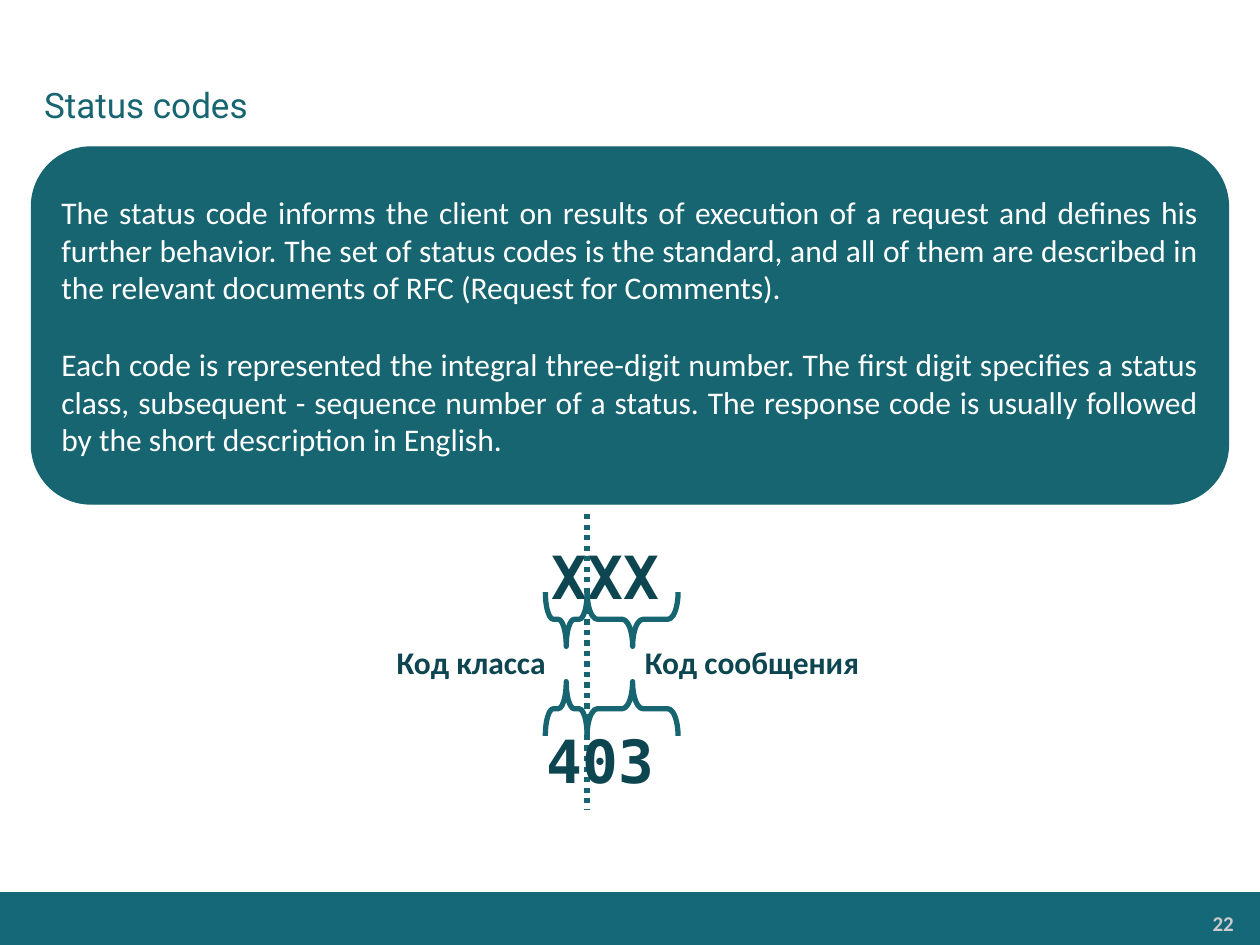
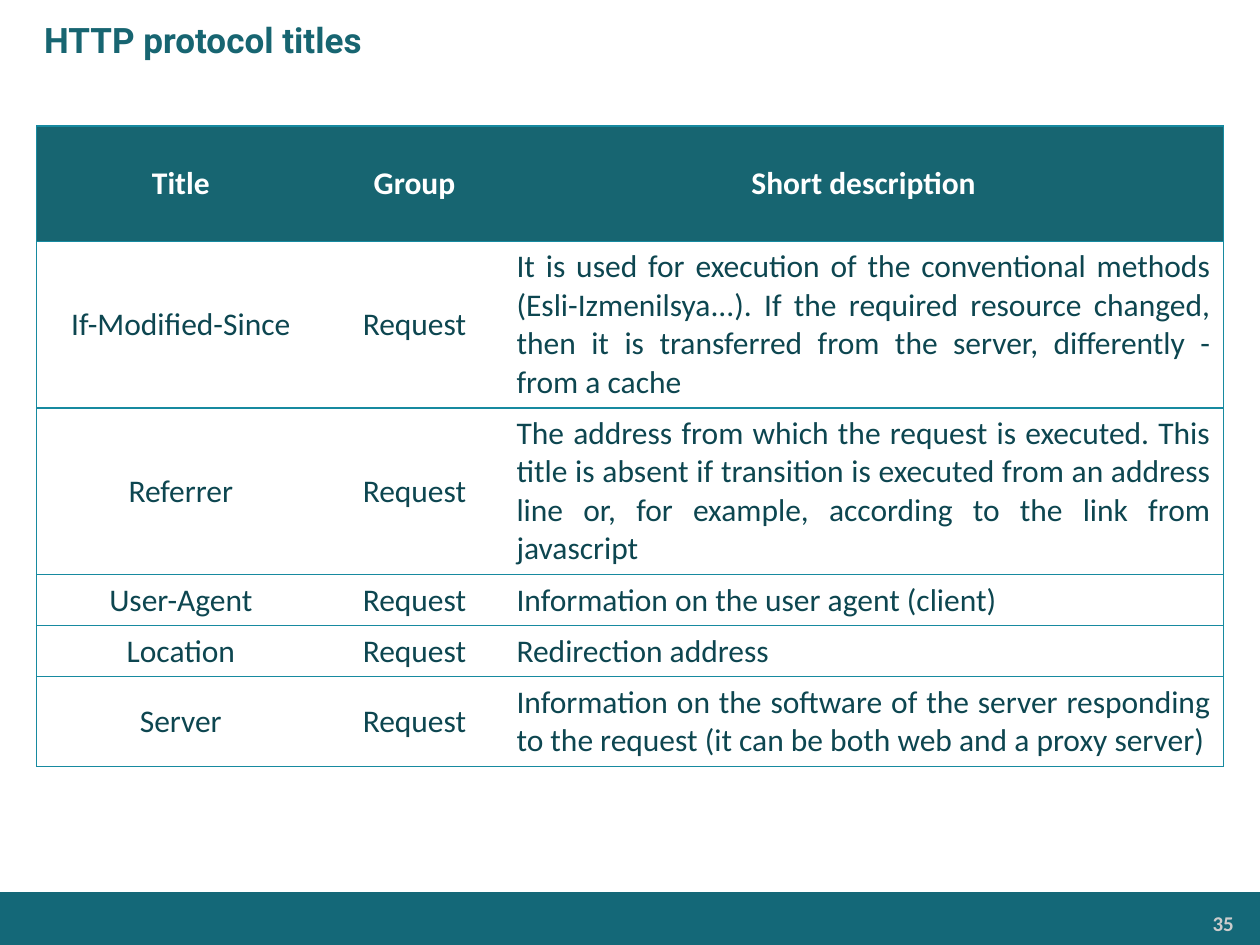
from lxml import etree
from pptx import Presentation
from pptx.dml.color import RGBColor
from pptx.enum.dml import MSO_LINE
from pptx.enum.shapes import MSO_CONNECTOR, MSO_SHAPE
from pptx.enum.text import MSO_ANCHOR, MSO_AUTO_SIZE, PP_ALIGN
from pptx.oxml.ns import qn
from pptx.util import Pt

LEFT, CENTER, RIGHT, JUSTIFY = PP_ALIGN.LEFT, PP_ALIGN.CENTER, PP_ALIGN.RIGHT, PP_ALIGN.JUSTIFY
TOP, MIDDLE = MSO_ANCHOR.TOP, MSO_ANCHOR.MIDDLE
NO_AUTOFIT = MSO_AUTO_SIZE.NONE
RECTANGLE, ROUNDED = MSO_SHAPE.RECTANGLE, MSO_SHAPE.ROUNDED_RECTANGLE
BRACE, STRAIGHT, DOTTED = MSO_SHAPE.RIGHT_BRACE, MSO_CONNECTOR.STRAIGHT, MSO_LINE.ROUND_DOT

TEAL, BAND, INK, BORDER = "176571", "146878", "0D4650", "178AA0"
WHITE, GREY = "FFFFFF", "CCCCCC"
BODY_FONT, TITLE_FONT, CODE_FONT = "Calibri", "Roboto", "DejaVu Sans Mono"
TITLE_ONLY = 5

STATUS_TEXT = [
    "The status code informs the client on results of execution of a request and defines his "
    "further behavior. The set of status codes is the standard, and all of them are described "
    "in the relevant documents of RFC (Request for Comments).",
    "Each code is represented the integral three-digit number. The first digit specifies a "
    "status class, subsequent - sequence number of a status. The response code is usually "
    "followed by the short description in English.",
]
HEADER = ("Title", "Group", "Short description")
HEADERS_TABLE = [
    ("If-Modified-Since", 4,
     "It is used for execution of the conventional methods (Esli-Izmenilsya...). If the "
     "required resource changed, then it is transferred from the server, differently - from "
     "a cache"),
    ("Referrer", 4,
     "The address from which the request is executed. This title is absent if transition is "
     "executed from an address line or, for example, according to the link from javascript"),
    ("User-Agent", 1, "Information on the user agent (client)"),
    ("Location", 1, "Redirection address"),
    ("Server", 2,
     "Information on the software of the server responding to the request (it can be both web "
     "and a proxy server)"),
]


def color(value):
    """Turn a hex string into a colour."""
    return RGBColor.from_string(value)


def write(frame, *texts, font=BODY_FONT, size=18, ink=INK, bold=False, align=LEFT,
          anchor=TOP, gap=0, wrap=True):
    """Fill a text frame with one formatted paragraph for each text."""
    frame.word_wrap = wrap
    frame.vertical_anchor = anchor
    for index, text in enumerate(texts):
        paragraph = frame.add_paragraph() if index else frame.paragraphs[0]
        paragraph.text = text
        paragraph.alignment = align
        paragraph.space_before = Pt(gap if index else 0)
        paragraph.font.name = font
        paragraph.font.size = Pt(size)
        paragraph.font.bold = bold
        paragraph.font.color.rgb = color(ink)


class Deck:
    """Hold the shared style and the current slide."""

    def __init__(self):
        """Start an empty presentation of 10 by 7.5 inches."""
        self.presentation = Presentation()
        self.presentation.slide_width = Pt(720)
        self.presentation.slide_height = Pt(540)
        self.slide = None

    def add_slide(self, title, number, title_top=0, bold=False):
        """Add a slide with its title, footer band and number."""
        layout = self.presentation.slide_layouts[TITLE_ONLY]
        self.slide = self.presentation.slides.add_slide(layout)
        self.shape(RECTANGLE, 0, 509.8, 720, 30.6, fill=BAND)
        page = self.text(str(number), 592.6, 517.7, 117.4, 20, size=12, ink=GREY,
                         bold=True, align=RIGHT)
        page.margin_left = page.margin_right = Pt(5)
        page.margin_top = page.margin_bottom = Pt(2.9)
        shape = self.slide.shapes.title
        shape.left, shape.top, shape.width, shape.height = Pt(0), Pt(title_top), Pt(720), Pt(45)
        frame = shape.text_frame
        frame.auto_size = NO_AUTOFIT
        frame.margin_left = Pt(25.2)
        write(frame, title, font=TITLE_FONT, size=20, ink=TEAL, bold=bold, anchor=MIDDLE)

    def shape(self, kind, left, top, width, height, fill=None, line=None, weight=0.75):
        """Add a preset shape."""
        shape = self.slide.shapes.add_shape(kind, Pt(left), Pt(top), Pt(width), Pt(height))
        shape.shadow.inherit = False
        if fill:
            shape.fill.solid()
            shape.fill.fore_color.rgb = color(fill)
        else:
            shape.fill.background()
        if line:
            shape.line.color.rgb = color(line)
            shape.line.width = Pt(weight)
        else:
            shape.line.fill.background()
        return shape

    def text(self, text, left, top, width, height, **style):
        """Add a text box and return its frame."""
        box = self.slide.shapes.add_textbox(Pt(left), Pt(top), Pt(width), Pt(height))
        write(box.text_frame, text, **style)
        return box.text_frame

    def brace(self, left, top, span, rotation):
        """Add a horizontal brace given by its visible left, top and span."""
        depth = 31
        shift = (span - depth) / 2
        shape = self.shape(BRACE, left + shift, top - shift, depth, span, line=TEAL, weight=3)
        shape.adjustments[0] = 0.19
        shape.rotation = rotation

    def dotted_line(self, x, top, bottom):
        """Add a vertical dotted line."""
        line = self.slide.shapes.add_connector(STRAIGHT, Pt(x), Pt(top), Pt(x), Pt(bottom))
        line.line.color.rgb = color(TEAL)
        line.line.width = Pt(3)
        line.line.dash_style = DOTTED
        etree.SubElement(line.element.spPr, qn("a:effectLst"))

    def cell_borders(self, cell, visible):
        """Draw the visible sides of a cell and hide the others."""
        properties = cell._tc.get_or_add_tcPr()
        for side in "LRTB":
            line = etree.SubElement(properties, qn(f"a:ln{side}"), w=str(Pt(0.75)))
            if side in visible:
                fill = etree.SubElement(line, qn("a:solidFill"))
                etree.SubElement(fill, qn("a:srgbClr"), val=BORDER)
            else:
                etree.SubElement(line, qn("a:noFill"))

    def table(self, left, top, widths, heights, rows):
        """Add a table with a filled header row and horizontal rules."""
        frame = self.slide.shapes.add_table(len(rows), len(widths), Pt(left), Pt(top),
                                            Pt(sum(widths)), Pt(sum(heights)))
        table = frame.table
        table.first_row = table.horz_banding = False
        for column, width in zip(table.columns, widths):
            column.width = Pt(width)
        last = len(widths) - 1
        for row, texts in enumerate(rows):
            table.rows[row].height = Pt(heights[row])
            header = row == 0
            for column, text in enumerate(texts):
                cell = table.cell(row, column)
                sides = "TB" + "L" * (column == 0) + "R" * (column == last)
                self.cell_borders(cell, sides)
                if header:
                    cell.fill.solid()
                    cell.fill.fore_color.rgb = color(TEAL)
                else:
                    cell.fill.background()
                write(cell.text_frame, text, ink=WHITE if header else INK, bold=header,
                      align=JUSTIFY if column == last and not header else CENTER)
                cell.vertical_anchor = MIDDLE


def status_codes(deck):
    """Build the slide on status codes."""
    deck.add_slide("Status codes", 22, title_top=37)
    panel = deck.shape(ROUNDED, 18, 84, 684, 204, fill=TEAL, line=TEAL)
    write(panel.text_frame, *STATUS_TEXT, ink=WHITE, align=JUSTIFY, anchor=MIDDLE, gap=22)
    code_style = {"font": CODE_FONT, "size": 34, "bold": True, "align": JUSTIFY}
    deck.text("XXX", 308.2, 305.3, 81.4, 48.2, **code_style)
    class_left, divider = 311.6, 335.5
    for top, rotation in ((338.4, 90), (389.5, 270)):
        deck.brace(class_left, top, divider - class_left, rotation)
        deck.brace(divider, top, 52, rotation)
    deck.dotted_line(divider, 293.8, 462.2)
    for label, left, width in (("Код класса", 219.6, 100), ("Код сообщения", 361.4, 139)):
        deck.text(label, left, 363.6, width, 29, bold=True, wrap=False)
    deck.text("403", 305.3, 410.4, 81.4, 48.2, **code_style)


def protocol_titles(deck):
    """Build the slide with the table of HTTP titles."""
    deck.add_slide("HTTP protocol titles", 35, bold=True)
    rows = [HEADER] + [(name, "Request", text) for name, _, text in HEADERS_TABLE]
    heights = [66] + [22 * lines + 7.2 for _, lines, _ in HEADERS_TABLE]
    deck.table(20.9, 72, (164.9, 102.2, 411.1), heights, rows)


def main():
    """Build and save the presentation."""
    deck = Deck()
    status_codes(deck)
    protocol_titles(deck)
    deck.presentation.save("out.pptx")


if __name__ == "__main__":
    main()
